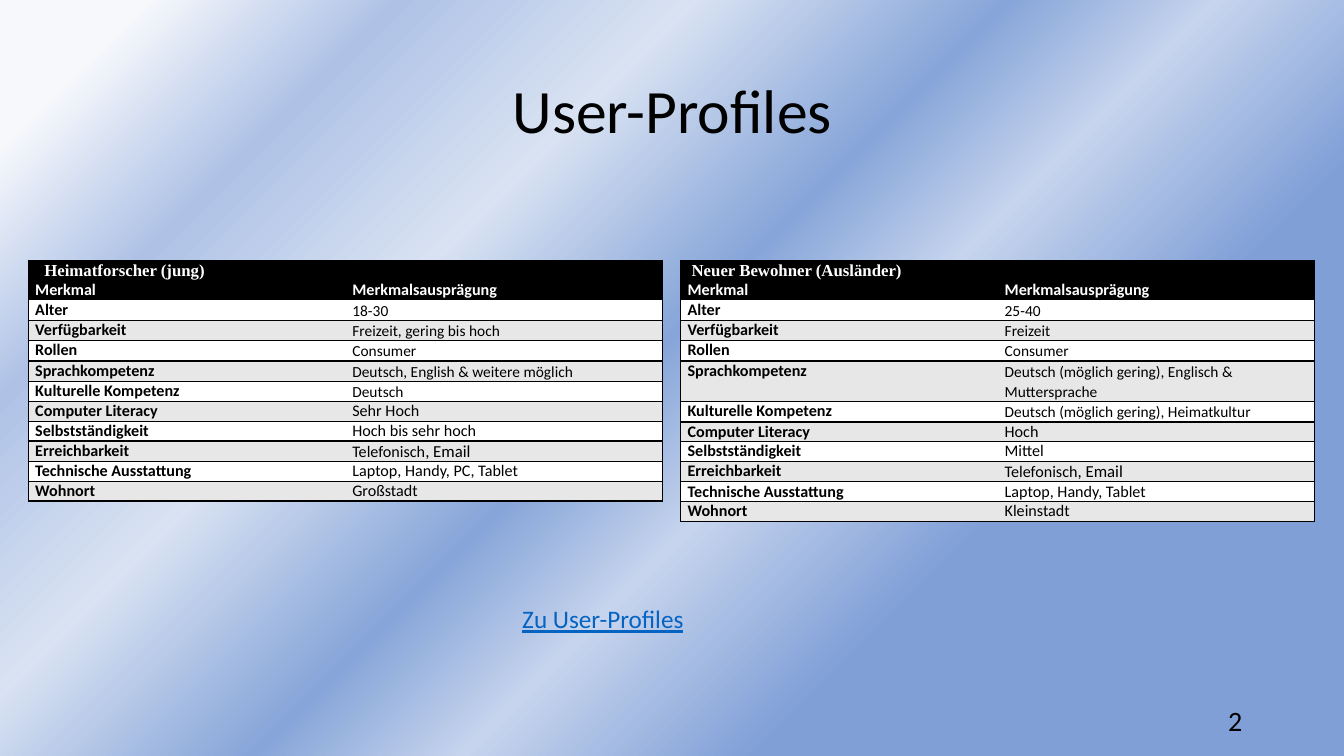
from dataclasses import dataclass

import pptx
import pptx.dml.color
import pptx.enum.text
import pptx.oxml
import pptx.oxml.ns
import pptx.util
from lxml import etree

Inches, Pt = pptx.util.Inches, pptx.util.Pt
qn = pptx.oxml.ns.qn
ALIGN, ANCHOR = pptx.enum.text.PP_ALIGN, pptx.enum.text.MSO_ANCHOR
NO_TABLE_STYLE = "{2D5ABB26-0587-4C30-8999-92F81FD0307C}"


@dataclass(frozen=True)
class Theme:
    font: str = "Calibri"
    caption_font: str = "Times New Roman"
    black: str = "000000"
    white: str = "FFFFFF"
    band: str = "E7E7E7"
    link: str = "0563C1"
    background: tuple = ((7, "F6F8FC"), (19, "AFC2E6"), (33, "D8E2F2"),
                         (48, "87A5D9"), (58, "C6D4ED"), (72, "809FD7"))
    title_size: float = 44
    number_size: float = 20
    link_size: float = 18
    caption_size: float = 12
    cell_size: float = 11.5
    small_size: float = 11


class Deck:
    def __init__(self, prs, theme):
        self.theme = theme
        self.s = prs.slides.add_slide(prs.slide_layouts[5])

    def background(self):
        fill = self.s.background.fill
        fill.gradient()
        fill.gradient_angle = 315
        stops = next(self.s.element.iter(qn("a:gsLst")))
        for stop in list(stops):
            stops.remove(stop)
        for percent, color in self.theme.background:
            stop = etree.SubElement(stops, qn("a:gs"), pos=str(percent * 1000))
            etree.SubElement(stop, qn("a:srgbClr"), val=color)

    def run(self, p, text, size, color, bold=False, font=None, underline=False):
        r = p.add_run()
        r.text = text
        r.font.name = font or self.theme.font
        r.font.size = Pt(size)
        r.font.bold = bold
        r.font.underline = underline
        r.font.color.rgb = pptx.dml.color.RGBColor.from_string(color)

    def place(self, sp, left, top, width, height):
        sp.left, sp.top = Inches(left), Inches(top)
        sp.width, sp.height = Inches(width), Inches(height)

    def title(self, text, *box):
        sp = self.s.shapes.title
        self.place(sp, *box)
        sp.text_frame.vertical_anchor = ANCHOR.MIDDLE
        p = sp.text_frame.paragraphs[0]
        p.alignment = ALIGN.CENTER
        p.line_spacing = 0.9
        self.run(p, text, self.theme.title_size, self.theme.black)

    def text(self, text, box, size, color, align, anchor=ANCHOR.TOP, underline=False):
        tf = self.s.shapes.add_textbox(*map(Inches, box)).text_frame
        tf.word_wrap = True
        tf.vertical_anchor = anchor
        p = tf.paragraphs[0]
        p.alignment = align
        self.run(p, text, size, color, underline=underline)

    def cell(self, cell, fill, sides, indent=0.07):
        cell.margin_left, cell.margin_right = Inches(indent), Inches(0.07)
        cell.margin_top = cell.margin_bottom = 0
        tc_pr = cell._tc.get_or_add_tcPr()
        for side in "LRTB":
            if side in sides:
                ln = etree.SubElement(tc_pr, qn("a:ln" + side), w=str(Pt(1)))
                solid = etree.SubElement(ln, qn("a:solidFill"))
                etree.SubElement(solid, qn("a:srgbClr"), val=self.theme.black)
        cell.fill.solid()
        cell.fill.fore_color.rgb = pptx.dml.color.RGBColor.from_string(fill)
        return cell.text_frame.paragraphs[0]

    def profile(self, left, caption, indent, values):
        t = self.theme
        row_height = 0.19
        count = len(values) + 2
        frame = self.s.shapes.add_table(count, 2, Inches(left), Inches(2.59),
                                        Inches(6.29), Inches(row_height * count))
        table = frame.table
        table.first_row = table.horz_banding = False
        next(table._tbl.iter(qn("a:tableStyleId"))).text = NO_TABLE_STYLE
        for row in table.rows:
            row.height = Inches(row_height)

        # Caption across both columns
        table.cell(0, 0).merge(table.cell(0, 1))
        p = self.cell(table.cell(0, 0), t.black, "LRTB", indent)
        self.run(p, caption, t.caption_size, t.white, True, t.caption_font)
        self.cell(table.cell(0, 1), t.black, "RTB")

        # Column headings
        for col, (heading, sides) in enumerate(zip(HEADINGS, ("LTB", "RTB"))):
            p = self.cell(table.cell(1, col), t.black, sides)
            self.run(p, heading, t.cell_size, t.white, True)

        # Features with banded rows
        for i, (feature, value) in enumerate(zip(FEATURES, values)):
            fill = t.band if i % 2 else t.white
            p = self.cell(table.cell(i + 2, 0), fill, "LTB")
            self.run(p, feature, t.cell_size, t.black, True)
            p = self.cell(table.cell(i + 2, 1), fill, "RTB")
            small = i < SMALL_ROWS
            if small:
                p.line_spacing = 1.07
            first, comma, rest = value.partition(", Email")
            self.run(p, first, t.small_size if small else t.cell_size, t.black)
            if comma:
                self.run(p, comma + rest, t.caption_size, t.black)


HEADINGS = ("Merkmal", "Merkmalsausprägung")
FEATURES = ("Alter", "Verfügbarkeit", "Rollen", "Sprachkompetenz",
            "Kulturelle Kompetenz", "Computer Literacy", "Selbstständigkeit",
            "Erreichbarkeit", "Technische Ausstattung", "Wohnort")
SMALL_ROWS = 5
YOUNG_RESEARCHER = ("18-30", "Freizeit, gering bis hoch", "Consumer",
                    "Deutsch, English & weitere möglich", "Deutsch", "Sehr Hoch",
                    "Hoch bis sehr hoch", "Telefonisch, Email",
                    "Laptop, Handy, PC, Tablet", "Großstadt")
NEW_RESIDENT = ("25-40", "Freizeit", "Consumer",
                "Deutsch (möglich gering), Englisch & Muttersprache",
                "Deutsch (möglich gering), Heimatkultur", "Hoch", "Mittel",
                "Telefonisch, Email", "Laptop, Handy, Tablet", "Kleinstadt")

prs = pptx.Presentation()
prs.slide_width, prs.slide_height = Inches(13.33), Inches(7.5)
theme = Theme()
deck = Deck(prs, theme)

# Background and title
deck.background()
deck.title("User-Profiles", 0.92, 0.4, 11.5, 1.45)

# Profile tables
deck.profile(0.28, "Heimatforscher (jung)", 0.16, YOUNG_RESEARCHER)
deck.profile(6.75, "Neuer Bewohner (Ausländer)", 0.11, NEW_RESIDENT)

# Link line and slide number
deck.text("Zu User-Profiles", (2.65, 5.94, 6.66, 0.4), theme.link_size, theme.link,
          ALIGN.CENTER, underline=True)
deck.text("2", (9.42, 6.95, 3, 0.4), theme.number_size, theme.black,
          ALIGN.RIGHT, ANCHOR.MIDDLE)

prs.save("out.pptx")
